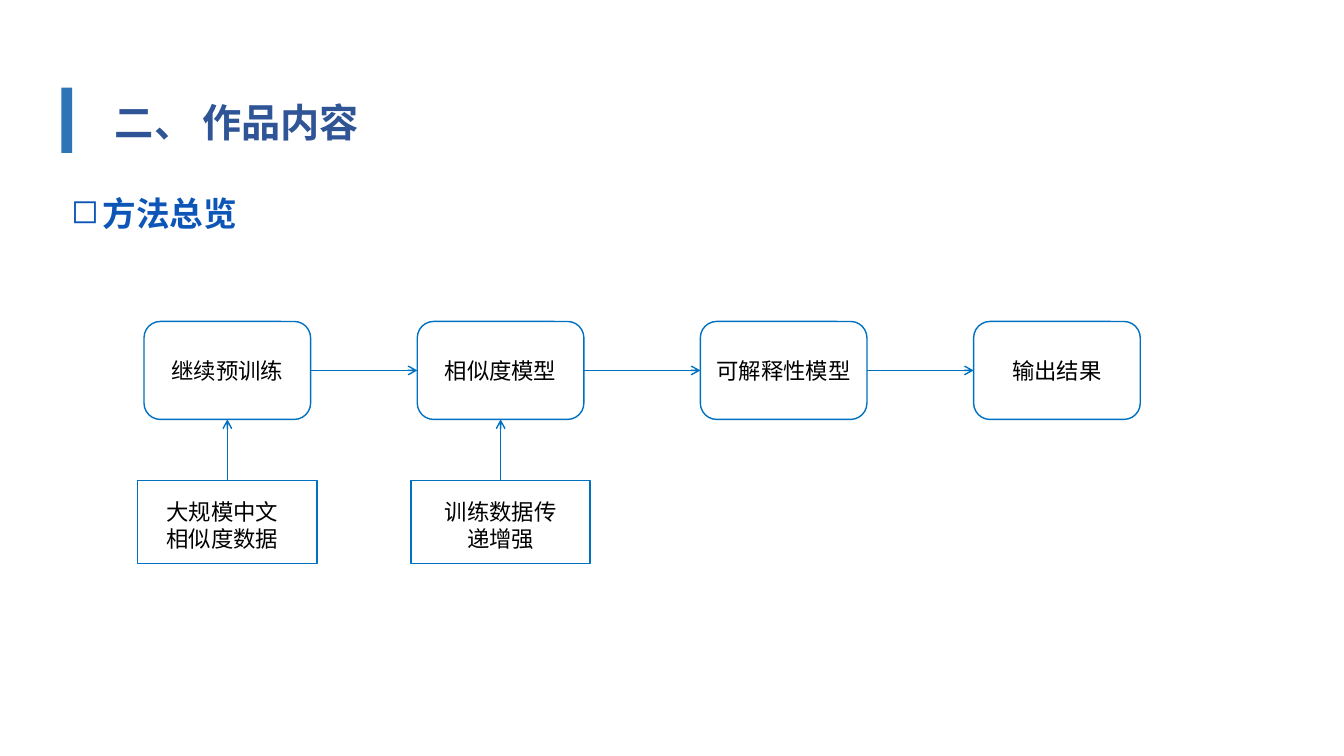
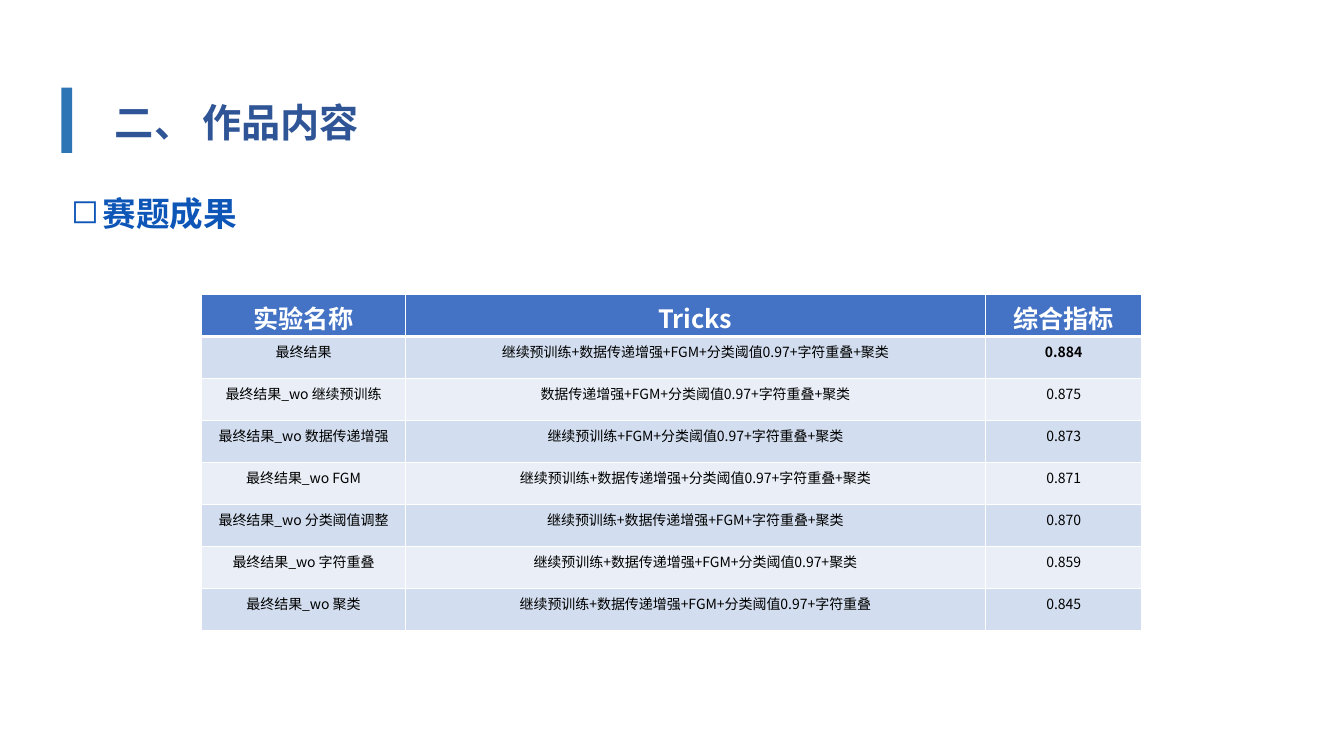
import pptx
import pptx.util
import pptx.dml.color
import pptx.enum.shapes
import pptx.enum.text
import pptx.oxml
import pptx.oxml.ns

Pt = pptx.util.Pt
SHAPE = pptx.enum.shapes.MSO_SHAPE
ALIGN = pptx.enum.text.PP_ALIGN
ANCHOR = pptx.enum.text.MSO_ANCHOR

FONT = "Noto Sans CJK SC"
TITLE_COLOR = "2F5597"
BAR_COLOR = "2E75B6"
HEADING_COLOR = "0D56B7"
LINE_COLOR = "0070C0"
HEADER_FILL = "4472C4"
BAND_FILLS = ("D2DEEF", "EAEFF7")
WHITE = "FFFFFF"
BLACK = "000000"

TITLE = "二、 作品内容"
METHOD_HEADING = "方法总览"
RESULT_HEADING = "赛题成果"

STEPS = [
    ("继续预训练", 162.4),
    ("相似度模型", 357.6),
    ("可解释性模型", 559.8),
    ("输出结果", 755),
]
NOTES = [
    ("大规模中文相似度数据", 0, ALIGN.LEFT),
    ("训练数据传递增强", 1, ALIGN.CENTER),
]
STEP_W, STEP_H, STEP_TOP = 119, 70, 229.6
NOTE_W, NOTE_H, NOTE_TOP = 128, 59, 343.4

COL_WIDTHS = (145.6, 414.2, 112)
ROW_H = 30
HEADER = ("实验名称", "Tricks", "综合指标")
RESULTS = [
    ("最终结果", "继续预训练+数据传递增强+FGM+分类阈值0.97+字符重叠+聚类", "0.884"),
    ("最终结果_wo 继续预训练", "数据传递增强+FGM+分类阈值0.97+字符重叠+聚类", "0.875"),
    ("最终结果_wo 数据传递增强", "继续预训练+FGM+分类阈值0.97+字符重叠+聚类", "0.873"),
    ("最终结果_wo FGM", "继续预训练+数据传递增强+分类阈值0.97+字符重叠+聚类", "0.871"),
    ("最终结果_wo 分类阈值调整", "继续预训练+数据传递增强+FGM+字符重叠+聚类", "0.870"),
    ("最终结果_wo 字符重叠", "继续预训练+数据传递增强+FGM+分类阈值0.97+聚类", "0.859"),
    ("最终结果_wo 聚类", "继续预训练+数据传递增强+FGM+分类阈值0.97+字符重叠", "0.845"),
]
BEST_SCORE = "0.884"


def rgb(color):
    return pptx.dml.color.RGBColor.from_string(color)


def add_xml(parent, tag, **attributes):
    element = pptx.oxml.parse_xml(f"<a:{tag} {pptx.oxml.ns.nsdecls('a')}/>")
    for name, value in attributes.items():
        element.set(name, str(value))
    parent.append(element)
    return element


def set_text(tf, text, size, color, bold=False, align=ALIGN.LEFT):
    tf.text = text
    p = tf.paragraphs[0]
    p.alignment = align
    for r in p.runs:
        r.font.size = Pt(size)
        r.font.bold = bold
        r.font.name = FONT
        r.font.color.rgb = rgb(color)
        add_xml(r.font._element, "ea", typeface=FONT)
    return p


def add_box(s, preset, x, y, w, h, fill, line=None):
    sp = s.shapes.add_shape(preset, Pt(x), Pt(y), Pt(w), Pt(h))
    sp.shadow.inherit = False
    sp.fill.solid()
    sp.fill.fore_color.rgb = rgb(fill)
    if line:
        sp.line.color.rgb = rgb(line)
        sp.line.width = Pt(1)
    else:
        sp.line.fill.background()
    return sp


def add_arrow(s, x1, y1, x2, y2):
    arrow = s.shapes.add_connector(
        pptx.enum.shapes.MSO_CONNECTOR.STRAIGHT, Pt(x1), Pt(y1), Pt(x2), Pt(y2))
    arrow.line.color.rgb = rgb(LINE_COLOR)
    arrow.line.width = Pt(1)
    add_xml(arrow.line._get_or_add_ln(), "tailEnd", type="arrow")
    add_xml(arrow._element.spPr, "effectLst")


def add_content_slide(prs, heading):
    s = prs.slides.add_slide(prs.slide_layouts[6])
    tf = s.shapes.add_textbox(Pt(75), Pt(66.4), Pt(191), Pt(41)).text_frame
    tf.word_wrap = False
    tf.auto_size = pptx.enum.text.MSO_AUTO_SIZE.SHAPE_TO_FIT_TEXT
    set_text(tf, TITLE, 28, TITLE_COLOR, bold=True)
    add_box(s, SHAPE.RECTANGLE, 43.8, 62.6, 7.8, 46.6, BAR_COLOR)
    tf = s.shapes.add_textbox(Pt(43.8), Pt(120.2), Pt(159), Pt(58)).text_frame
    tf.word_wrap = True
    p = set_text(tf, heading, 24, HEADING_COLOR, bold=True)
    p.line_spacing = 1.5
    pPr = p._p.get_or_add_pPr()
    pPr.set("marL", str(Pt(22.5)))
    pPr.set("indent", str(-Pt(22.5)))
    add_xml(pPr, "buChar", char="◻")
    return s


def add_flow(s):
    middle = STEP_TOP + STEP_H / 2
    for label, center in STEPS:
        sp = add_box(s, SHAPE.ROUNDED_RECTANGLE, center - STEP_W / 2, STEP_TOP,
                     STEP_W, STEP_H, WHITE, LINE_COLOR)
        tf = sp.text_frame
        tf.margin_left = tf.margin_right = Pt(3.6)
        tf.vertical_anchor = ANCHOR.MIDDLE
        set_text(tf, label, 16, BLACK, align=ALIGN.CENTER)
    for (_, start), (_, end) in zip(STEPS, STEPS[1:]):
        add_arrow(s, start + STEP_W / 2, middle, end - STEP_W / 2, middle)
    for label, step, align in NOTES:
        center = STEPS[step][1]
        sp = add_box(s, SHAPE.RECTANGLE, center - NOTE_W / 2, NOTE_TOP,
                     NOTE_W, NOTE_H, WHITE, LINE_COLOR)
        tf = sp.text_frame
        tf.word_wrap = True
        tf.vertical_anchor = ANCHOR.TOP
        tf.margin_left = tf.margin_right = Pt(20.6)
        tf.margin_top = Pt(12.2)
        tf.margin_bottom = Pt(0)
        set_text(tf, label, 16, BLACK, align=align)
        add_arrow(s, center, NOTE_TOP, center, STEP_TOP + STEP_H)


def set_borders(cell, top, bottom):
    tcPr = cell._tc.get_or_add_tcPr()
    sides = (("lnL", 1), ("lnR", 1), ("lnT", top), ("lnB", bottom))
    for index, (side, width) in enumerate(sides):
        ln = add_xml(tcPr, side, w=Pt(width))
        add_xml(add_xml(ln, "solidFill"), "srgbClr", val=WHITE)
        tcPr.insert(index, ln)


def add_results(s):
    rows = [HEADER] + RESULTS
    table = s.shapes.add_table(len(rows), len(HEADER), Pt(144), Pt(210.4),
                               Pt(sum(COL_WIDTHS)), Pt(ROW_H * len(rows))).table
    for column, width in zip(table.columns, COL_WIDTHS):
        column.width = Pt(width)
    for i, values in enumerate(rows):
        table.rows[i].height = Pt(ROW_H)
        for j, value in enumerate(values):
            cell = table.cell(i, j)
            cell.fill.solid()
            if i == 0:
                fill, size, color, bold = HEADER_FILL, 18, WHITE, True
                cell.margin_bottom = Pt(0)
            else:
                fill, size, color = BAND_FILLS[(i - 1) % 2], 10, BLACK
                bold = value == BEST_SCORE
            cell.fill.fore_color.rgb = rgb(fill)
            set_text(cell.text_frame, value, size, color, bold, ALIGN.CENTER)
            set_borders(cell, 3 if i == 1 else 1, 3 if i == 0 else 1)


def main():
    prs = pptx.Presentation()
    prs.slide_width, prs.slide_height = Pt(960), Pt(540)
    add_flow(add_content_slide(prs, METHOD_HEADING))
    add_results(add_content_slide(prs, RESULT_HEADING))
    prs.save("out.pptx")


if __name__ == "__main__":
    main()
